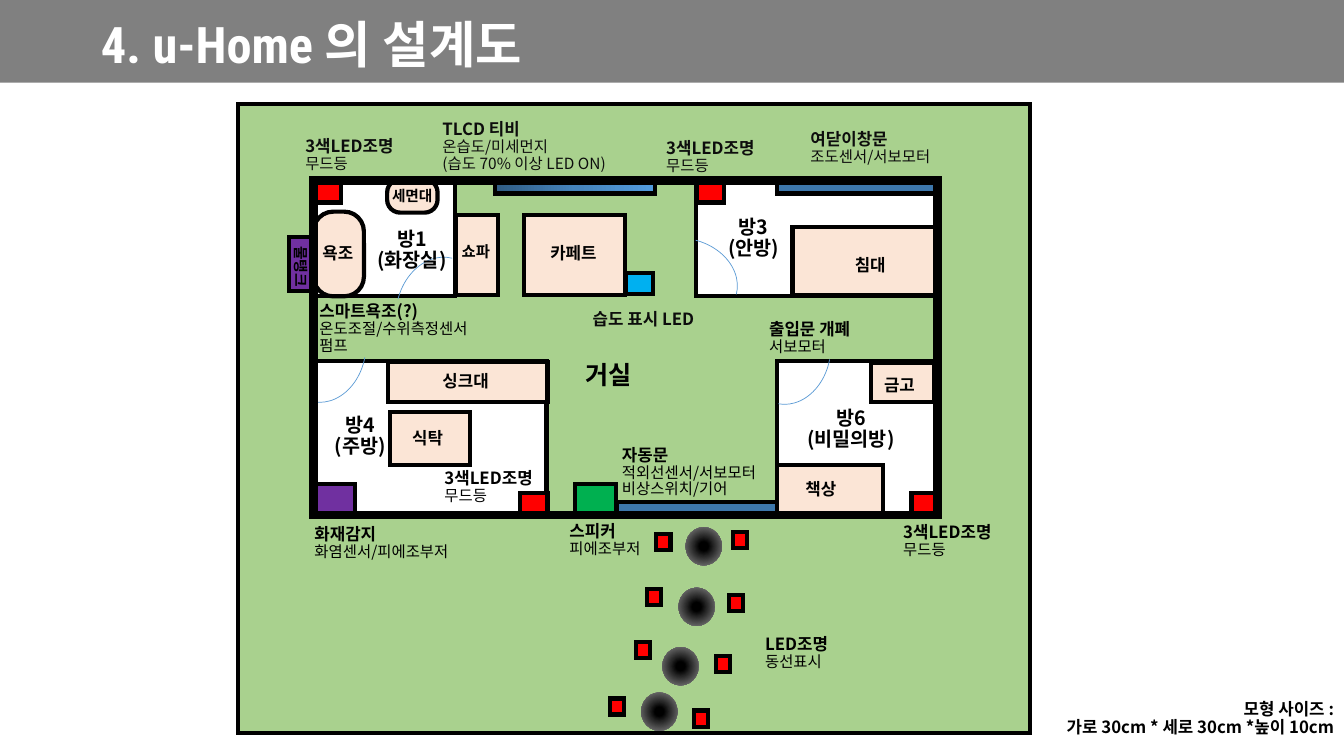
from lxml import etree
from pptx import Presentation, oxml
from pptx import util as u
from pptx.dml import color
from pptx.enum import shapes, text
from pptx.oxml import ns

KIND = shapes.MSO_SHAPE
SIDE = text.PP_ALIGN
FONT = "Noto Sans CJK KR"
INK, PALE, RED, BLUE, PLUM = "000000", "FBE5D6", "FF0000", "3D77AB", "7030A0"
SCREEN = ([(0, "305C84"), (50, "4583BB"), (100, "529BDE")], '<a:lin ang="0" {}/>')
STONE = (
    [(16, "000000"), (89, "808080")],
    '<a:path path="circle" {}><a:fillToRect l="50000" t="50000" r="50000" b="50000"/></a:path>',
)
LED = (0.27, 0.21)
LAMP = ["3색LED조명", "무드등"]


def tint(code):
    return color.RGBColor.from_string(code)


def blend(shape, stops, tail):
    shape.fill.gradient()
    grad = shape.element.spPr.find(ns.qn("a:gradFill"))
    grad.clear()
    space = ns.nsdecls("a")
    marks = "".join(
        f'<a:gs pos="{pos * 1000}"><a:srgbClr val="{code}"/></a:gs>' for pos, code in stops
    )
    grad.append(oxml.parse_xml(f"<a:gsLst {space}>{marks}</a:gsLst>"))
    grad.append(oxml.parse_xml(tail.format(space)))


def draw(slide, box, at, fill=None, kind=KIND.RECTANGLE, line=INK, width=3):
    x, y, w, h = at
    shape = slide.shapes.add_shape(
        kind, *map(u.Inches, (box[0] + x, box[1] + y, w, h))
    )
    shape.shadow.inherit = False
    if isinstance(fill, tuple):
        blend(shape, *fill)
    elif fill:
        shape.fill.solid()
        shape.fill.fore_color.rgb = tint(fill)
    else:
        shape.fill.background()
    if line:
        shape.line.color.rgb = tint(line)
        shape.line.width = u.Pt(width)
        edge = shape.element.spPr.find(ns.qn("a:ln"))
        etree.SubElement(edge, ns.qn("a:miter")).set("lim", "800000")
    else:
        shape.line.fill.background()
    return shape


def write(shape, rows, font=FONT, code=INK, align=SIDE.LEFT):
    frame = shape.text_frame
    look = {
        "word_wrap": True,
        "auto_size": text.MSO_AUTO_SIZE.NONE,
        "vertical_anchor": text.MSO_ANCHOR.MIDDLE,
    }
    for key, val in look.items():
        setattr(frame, key, val)
    for i, (words, size, bold) in enumerate(rows):
        para = frame.add_paragraph() if i else frame.paragraphs[0]
        form = {"alignment": align, "line_spacing": 0.9,
                "space_before": u.Pt(0), "space_after": u.Pt(0)}
        for key, val in form.items():
            setattr(para, key, val)
        run = para.add_run()
        run.text = words
        for key, val in {"name": font, "size": u.Pt(size), "bold": bold}.items():
            setattr(run.font, key, val)
        run.font.color.rgb = tint(code)
    for props in shape.element.iter(ns.qn("a:rPr")):
        etree.SubElement(props, ns.qn("a:ea")).set("typeface", font)


def label(slide, box, spot, rows, **form):
    x, y, w = spot
    area = slide.shapes.add_textbox(
        *map(u.Inches, (box[0] + x, box[1] + y, w, 1.07))
    )
    write(area, rows, **form)
    return area


def note(slide, box, spot, words, code=INK):
    rows = [(word, 11 if i else 12, not i) for i, word in enumerate(words)]
    label(slide, box, spot, rows, code=code)


def fit(slide, box, items):
    for at, fill, name, spot, size in items:
        draw(slide, box, at, fill)
        if name:
            label(slide, box, spot, [(name, size, True)])


def room(slide, box, name, spot, arc, items, notes):
    draw(slide, box, (0, 0, *box[2:]), "FFFFFF")
    x, y, turn = arc
    door = draw(slide, box, (x, y, 1.05, 0.84), None, KIND.ARC, "5B9BD5", 0.5)
    door.rotation = turn
    label(slide, box, spot, [(word, 14, True) for word in name], align=SIDE.CENTER)
    fit(slide, box, items)
    for place, words, code in notes:
        note(slide, box, place, words, code)


def bath(slide, box):
    items = [
        ((1.41, 0.34, 0.42, 0.8), PALE, "쇼파", (1.37, 0.18, 1.46), 11),
        ((0, 0.01, *LED), RED, "", None, 0),
        ((-0.24, 0.56, 0.23, 0.54), PLUM, "", None, 0),
    ]
    notes = [
        ((-0.18, -0.78, 1.46), LAMP, "0D0D0D"),
        ((-0.04, 0.94, 2.06), ["스마트욕조(?)", "온도조절/수위측정센서", "펌프"], INK),
    ]
    room(slide, box, ["방1", "(화장실)"], (-0.22, 0.16, 2.39), (0.72, 0.86, 284.3), items, notes)
    tubs = [
        ((0, 0.31, 0.5, 0.84), "욕조", (-0.01, 0.2, 1.46), 12),
        ((0.73, -0.01, 0.5, 0.33), "세면대", (0.68, -0.37, 1.46), 10.5),
    ]
    for at, name, spot, size in tubs:
        draw(slide, box, at, PALE, KIND.ROUNDED_RECTANGLE).adjustments[0] = 0.39
        label(slide, box, spot, [(name, size, True)])
    tank = label(slide, box, (-0.81, 0.32, 1.36), [("물탱크", 10.5, True)], align=SIDE.CENTER)
    tank.rotation = 90


def bed(slide, box):
    items = [
        ((0.81, 0, 1.59, 0.13), BLUE, "", None, 0),
        ((0.96, 0.46, 1.45, 0.68), PALE, "침대", (1.48, 0.31, 1.46), 12),
        ((0.01, 0.01, *LED), RED, "", None, 0),
    ]
    notes = [
        ((-0.39, -0.76, 1.46), LAMP, "0D0D0D"),
        ((1.04, -0.85, 1.76), ["여닫이창문", "조도센서/서보모터"], "0D0D0D"),
    ]
    room(slide, box, ["방3", "(안방)"], (-0.1, 0.04, 1.35), (-0.63, 0.58, 14.5), items, notes)


def cook(slide, box):
    items = [
        ((0.74, 0.01, 1.58, 0.4), PALE, "싱크대", (1.18, -0.32, 1.46), 12),
        ((0.76, 0.51, 0.79, 0.52), PALE, "식탁", (0.88, 0.24, 1.46), 12),
        ((2.05, 1.31, *LED), RED, "", None, 0),
        ((0, 1.22, 0.41, 0.31), PLUM, "", None, 0),
    ]
    notes = [
        ((1.2, 0.72, 1.46), LAMP, INK),
        ((-0.09, 1.28, 1.79), ["화재감지", "화염센서/피에조부저"], INK),
    ]
    room(slide, box, ["방4", "(주방)"], (-0.44, 0.22, 1.81), (-0.43, -0.53, 100.5), items, notes)


def vault(slide, box):
    items = [
        ((0, 1.03, 1.05, 0.5), PALE, "책상", (0.18, 0.75, 1.46), 12),
        ((1.33, 1.31, *LED), RED, "", None, 0),
        ((0.93, 0.02, 0.62, 0.39), PALE, "금고", (0.96, -0.29, 1.46), 12),
    ]
    notes = [
        ((1.15, 1.26, 1.46), LAMP, INK),
        ((-0.18, -0.76, 2.01), ["출입문 개폐", "서보모터"], INK),
    ]
    room(slide, box, ["방6", "(비밀의방)"], (-0.7, 0.15, 2.86), (-0.42, -0.51, 100.5), items, notes)


def hall(slide, box):
    fit(slide, box, [
        ((1.6, 3.19, 1.59, 0.13), BLUE, "", None, 0),
        ((0.39, 0, 1.59, 0.13), SCREEN, "", None, 0),
        ((0.68, 0.34, 1, 0.8), PALE, "카페트", (0.84, 0.2, 0.93), 12),
        ((1.69, 0.92, *LED), "00B0F0", "", None, 0),
        ((1.18, 3.01, 0.41, 0.31), "00B050", "", None, 0),
    ])
    label(slide, box, (1.19, 1.41, 4.25), [("거실", 18, True)])
    note(slide, box, (1.55, 2.36, 1.75), ["자동문", "적외선센서/서보모터", "비상스위치/기어"])
    note(slide, box, (-0.23, -0.87, 2.18),
         ["TLCD 티비", "온습도/미세먼지", "(습도 70% 이상 LED ON)"], "0D0D0D")
    note(slide, box, (1.03, 3.04, 1.46), ["스피커", "피에조부저"])
    note(slide, box, (1.26, 0.85, 1.46), ["습도 표시 LED"], "0D0D0D")


def trail(slide, box):
    for x, y in [(0.75, 0), (0.68, 0.6), (0.52, 1.19), (0.31, 1.64)]:
        draw(slide, box, (x, y, 0.36, 0.38), STONE, KIND.OVAL, None)
    lamps = [(1.22, 0.05), (1.18, 0.67), (1.05, 1.28), (0.83, 1.82),
             (0.46, 0.07), (0.37, 0.61), (0.26, 1.14), (0, 1.7)]
    for x, y in lamps:
        draw(slide, box, (x, y, 0.14, 0.16), RED)
    note(slide, box, (1.44, 0.72, 1.46), ["LED조명", "동선표시"])


def head(slide, box):
    bar = draw(slide, box, (0, 0, *box[2:]), "808080", line=None)
    title = slide.shapes.title
    bar.element.addnext(title.element)
    spot = {"left": box[0] + 0.9, "top": box[1] - 0.26, "width": 11.5, "height": 1.45}
    for key, val in spot.items():
        setattr(title, key, u.Inches(val))
    write(title, [("4. u-Home 의 설계도", 36, True)], "Roboto Condensed", "FFFFFF")


def main():
    deck = Presentation()
    deck.slide_width, deck.slide_height = u.Inches(13.33), u.Inches(7.5)
    slide = deck.slides.add_slide(deck.slide_layouts[5])
    head(slide, (0, 0, 13.33, 0.82))
    label(slide, (10.32, 6.6), (0, 0, 3.01),
          [("모형 사이즈 :", 12, True), ("가로 30cm * 세로 30cm *높이 10cm", 12, True)],
          align=SIDE.RIGHT)
    draw(slide, (2.36, 1.03), (0, 0, 7.86, 6.24), "A9D18E")
    bath(slide, (3.11, 1.79, 1.4, 1.15))
    bed(slide, (6.9, 1.79, 2.4, 1.15))
    cook(slide, (3.11, 3.58, 2.31, 1.53))
    vault(slide, (7.71, 3.58, 1.59, 1.53))
    hall(slide, (4.52, 1.79, 3.19, 3.32))
    trail(slide, (6.05, 5.23, 1.36, 1.98))
    draw(slide, (3.11, 1.79), (0, 0, 6.19, 3.32), width=6)
    deck.save("out.pptx")


if __name__ == "__main__":
    main()
